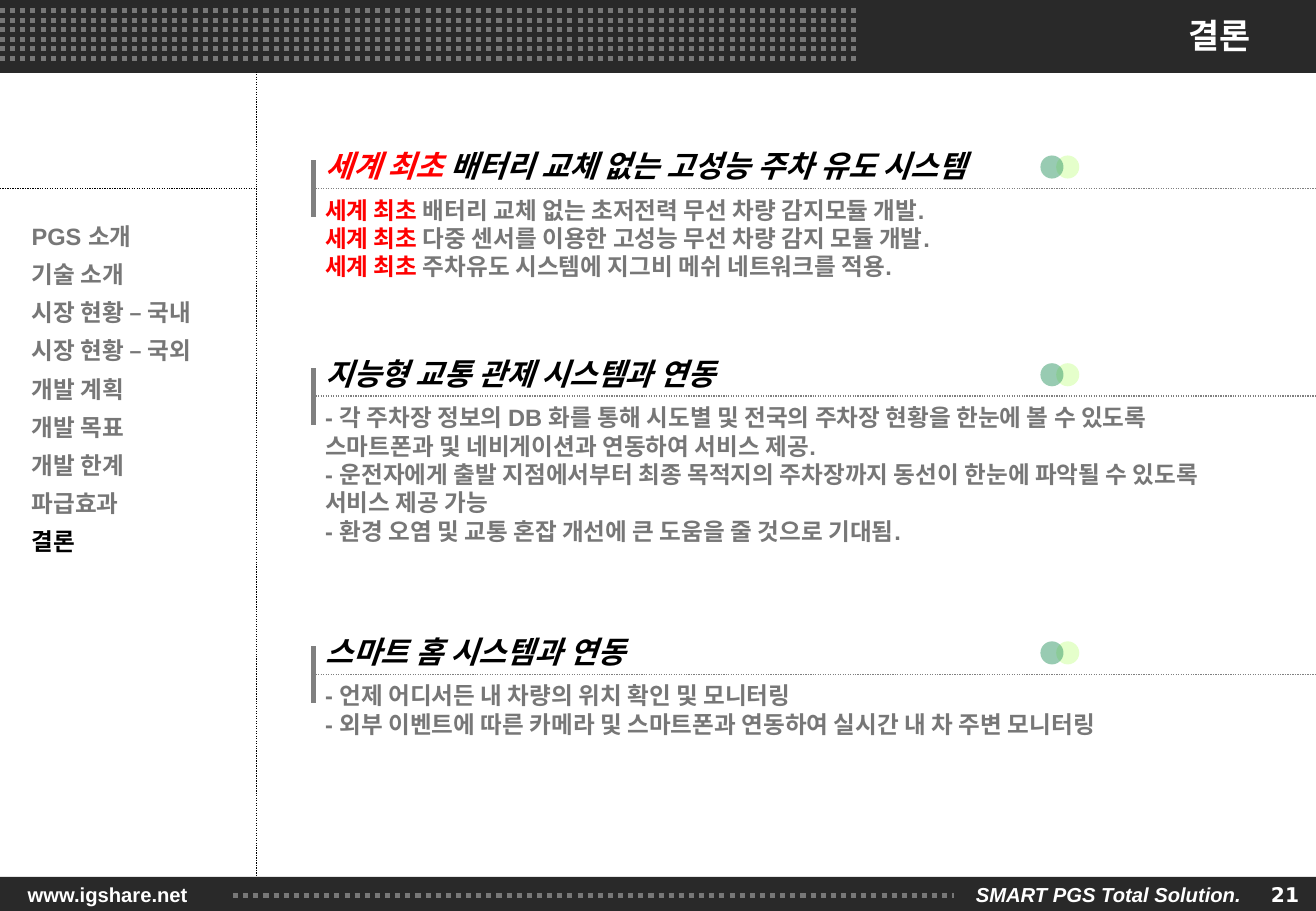
"""Build the conclusion slide of the parking guidance deck."""
from dataclasses import dataclass
from typing import Any

from lxml import etree
from pptx import Presentation
from pptx import util as u
from pptx.dml import color
from pptx.enum import dml, shapes, text
from pptx.oxml import ns

WIDTH, HEIGHT = 10.84, 7.5
DARK, GREY, RULE, WHITE, BLACK, RED = "292929", "777777", "808080", "FFFFFF", "000000", "FF0000"
FIRST = ("세계 최초 ", RED)
MENU = ["PGS 소개", "기술 소개", "시장 현황 – 국내", "시장 현황 – 국외", "개발 계획",
        "개발 목표", "개발 한계", "파급효과", "결론"]
SECTIONS = [
    (1.55, [FIRST, ("배터리 교체 없는 고성능 주차 유도 시스템", BLACK)], [
        [FIRST, ("배터리 교체 없는 초저전력 무선 차량 감지모듈 개발.", GREY)],
        [FIRST, ("다중 센서를 이용한 고성능 무선 차량 감지 모듈 개발.", GREY)],
        [FIRST, ("주차유도 시스템에 지그비 메쉬 네트워크를 적용.", GREY)]]),
    (3.26, [("지능형 교통 관제 시스템과 연동", BLACK)], [
        [("- 각 주차장 정보의 DB 화를 통해 시도별 및 전국의 주차장 현황을 한눈에 볼 수 있도록", GREY)],
        [("스마트폰과 및 네비게이션과 연동하여 서비스 제공.", GREY)],
        [("- 운전자에게 출발 지점에서부터 최종 목적지의 주차장까지 동선이 한눈에 파악될 수 있도록", GREY)],
        [("서비스 제공 가능", GREY)],
        [("- 환경 오염 및 교통 혼잡 개선에 큰 도움을 줄 것으로 기대됨.", GREY)]]),
    (5.55, [("스마트 홈 시스템과 연동", BLACK)], [
        [("- 언제 어디서든 내 차량의 위치 확인 및 모니터링", GREY)],
        [("- 외부 이벤트에 따른 카메라 및 스마트폰과 연동하여 실시간 내 차 주변 모니터링", GREY)]]),
]


def paint(target, value):
    """Set a colour format from a hex string."""
    target.rgb = color.RGBColor.from_string(value)


@dataclass
class SlideBuilder:
    """Hold the style and the current slide."""
    page: Any
    font: str = "Arial"

    def shape(self, kind, left, top, width, height, fill, alpha=None):
        """Add a filled preset shape without an outline."""
        shape = self.page.shapes.add_shape(kind, *map(u.Inches, (left, top, width, height)))
        shape.shadow.inherit = False
        shape.line.fill.background()
        shape.fill.solid()
        paint(shape.fill.fore_color, fill)
        if alpha is not None:
            hue = shape.element.spPr.find(".//" + ns.qn("a:srgbClr"))
            etree.SubElement(hue, ns.qn("a:alpha"), val=str(alpha * 1000))

    def line(self, start, end, stroke, weight, dotted=True):
        """Add a straight line."""
        line = self.page.shapes.add_connector(
            shapes.MSO_CONNECTOR.STRAIGHT, *map(u.Inches, (*start, *end)))
        paint(line.line.color, stroke)
        line.line.width = u.Pt(weight)
        if dotted:
            line.line.dash_style = dml.MSO_LINE.ROUND_DOT
        etree.SubElement(line.element.spPr, ns.qn("a:effectLst"))

    def fill_text(self, box, bounds, lines, gap=0, right=0.1, middle=True, align="LEFT", **style):
        """Place a text shape and fill it with coloured spans."""
        for name, value in zip(("left", "top", "width", "height"), bounds):
            setattr(box, name, u.Inches(value))
        frame = box.text_frame
        layout = {
            "word_wrap": True, "auto_size": text.MSO_AUTO_SIZE.NONE,
            "vertical_anchor": text.MSO_ANCHOR.MIDDLE if middle else text.MSO_ANCHOR.TOP,
            "margin_left": u.Inches(0.1), "margin_right": u.Inches(right),
            "margin_top": u.Inches(0.05), "margin_bottom": u.Inches(0.05)}
        for name, value in layout.items():
            setattr(frame, name, value)
        for index, spans in enumerate(lines):
            para = frame.add_paragraph() if index else frame.paragraphs[0]
            props = para._p.get_or_add_pPr()
            props.set("marL", "0")
            props.set("indent", "0")
            etree.SubElement(props, ns.qn("a:buNone"))
            spacing = {"alignment": text.PP_ALIGN[align], "line_spacing": 1.0,
                       "space_before": u.Pt(gap if index else 0), "space_after": u.Pt(0)}
            for name, value in spacing.items():
                setattr(para, name, value)
            for words, ink in spans:
                span = para.add_run()
                span.text = words
                values = {"name": self.font, "bold": True, "italic": False, **style}
                for name, value in values.items():
                    setattr(span.font, name, value)
                paint(span.font.color, ink)

    def label(self, bounds, lines, **options):
        """Add a text box."""
        box = self.page.shapes.add_textbox(*map(u.Inches, bounds))
        self.fill_text(box, bounds, lines, **options)

    def placeholder(self, box, bounds, lines, **options):
        """Bring a placeholder to the front and fill it."""
        box.element.getparent().append(box.element)
        self.fill_text(box, bounds, lines, **options)

    def section(self, top, heading, lines):
        """Add a heading with its rule, marker, dots and text."""
        left = 2.58
        self.line((left, top - 0.23), (left, top + 0.24), RULE, 3, dotted=False)
        self.line((left, top), (WIDTH, top), RULE, 0.75)
        self.label((left, top - 0.38, 6, 0.38), [heading], size=u.Pt(18), italic=True)
        self.label((left, top + 0.01, 8.2, 0.24 * len(lines) + 0.1), lines,
                   middle=False, size=u.Pt(14))
        for dot_left, fill in ((8.7, "CCFF99"), (8.57, "339966")):
            self.shape(shapes.MSO_SHAPE.OVAL, dot_left, top - 0.27, 0.19, 0.19, fill, alpha=50)


def main():
    """Build and save the deck."""
    deck = Presentation()
    deck.slide_width, deck.slide_height = u.Inches(WIDTH), u.Inches(HEIGHT)
    page = deck.slides.add_slide(deck.slide_layouts[1])
    title, menu = page.placeholders
    builder = SlideBuilder(page)

    for top, height in ((0, 0.6), (7.22, 0.28)):
        builder.shape(shapes.MSO_SHAPE.RECTANGLE, 0, top, WIDTH, height, DARK)
    for row in range(6):
        y = 0.09 + row * 0.39 / 5
        builder.line((0, y), (7.07, y), GREY, 3)
    builder.line((1.92, 7.37), (7.86, 7.37), GREY, 3)
    builder.line((2.11, 0.59), (2.11, 7.22), BLACK, 0.75)
    builder.line((0, 1.55), (2.11, 1.55), BLACK, 0.75)

    small = u.Pt(12)
    builder.label((0.13, 7.22, 1.75, 0.28), [[("www.igshare.net", WHITE)]], size=small)
    builder.label((7.94, 7.22, 2.4, 0.28), [[("SMART PGS Total Solution.", WHITE)]],
                  size=small, italic=True)
    builder.label((10.2, 7.22, 0.6, 0.28), [[("21", WHITE)]],
                  align="RIGHT", size=small, name="DejaVu Sans")

    builder.placeholder(title, (0, -0.01, 10.83, 0.6), [[("결론", WHITE)]],
                        right=0.53, align="RIGHT", size=u.Pt(20))
    for section in SECTIONS:
        builder.section(*section)
    entries = [[(entry, BLACK if entry == MENU[-1] else GREY)] for entry in MENU]
    builder.placeholder(menu, (0.16, 1.78, 1.9, 2.84), entries, gap=5.8, size=u.Pt(14))

    deck.save("out.pptx")


if __name__ == "__main__":
    main()
